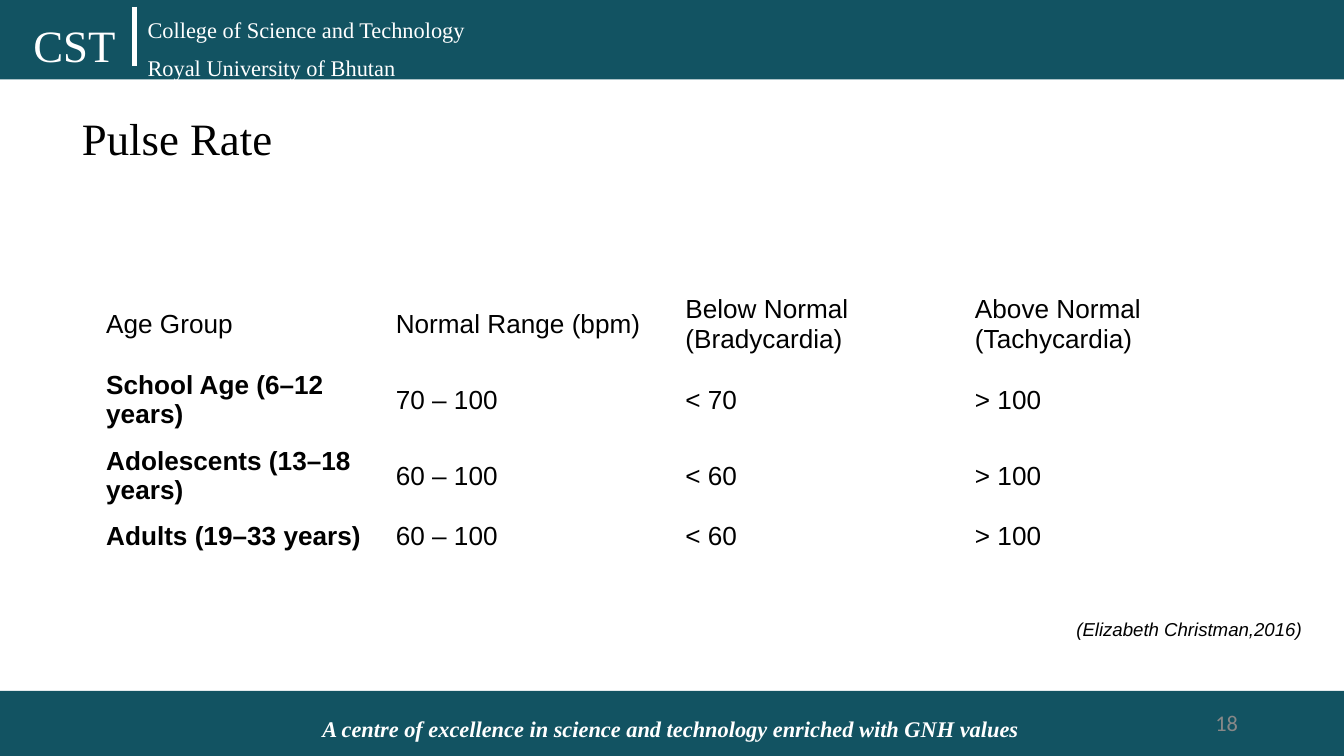
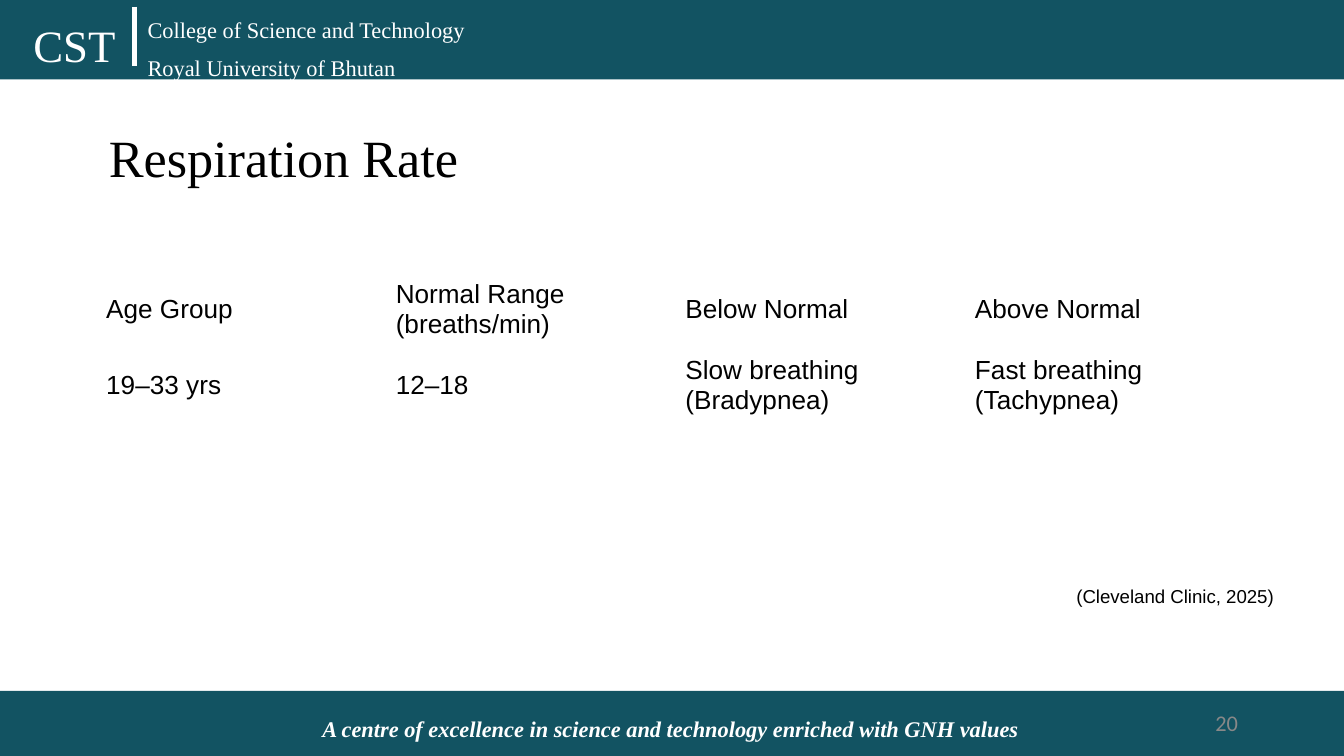
"""Build the pulse rate and respiration rate slides."""
from dataclasses import dataclass, field
from typing import Any

from lxml import etree
from pptx import Presentation
from pptx import util as u
from pptx.dml.color import RGBColor
from pptx.enum import shapes, text
from pptx.oxml.ns import qn

TEAL = RGBColor(0x12, 0x53, 0x62)
WHITE = RGBColor(0xFF, 0xFF, 0xFF)
BLACK = RGBColor(0x00, 0x00, 0x00)
GREY = RGBColor(0x88, 0x88, 0x88)
SERIF, SANS, NUMBER_FONT = "Times New Roman", "Arial", "Calibri"
SLIDE_WIDTH = 10
SLIDE_HEIGHT = SLIDE_WIDTH * 9 / 16
HEADER_HEIGHT, FOOTER_TOP = 0.59, 5.14
TABLE_LEFT, TABLE_WIDTH = 0.69, 8.62
ONE_LINE, TWO_LINES = 0.34, 1.13 / 2

Box = tuple[float, float, float, float]


@dataclass(frozen=True)
class Label:
    """Text with its place and format."""

    lines: tuple[str, ...]
    box: Box
    font: dict[str, Any]
    color: RGBColor = WHITE
    paragraph: dict[str, Any] = field(default_factory=dict)
    anchor: text.MSO_ANCHOR = text.MSO_ANCHOR.TOP
    inset: float = 0.05


@dataclass(frozen=True)
class RateSlide:
    """Content of one vital sign slide."""

    number: int
    title: str
    title_at: tuple[float, float]
    title_size: int
    citation: str
    citation_top: float
    citation_italic: bool
    table_top: float
    row_heights: tuple[float, ...]
    rows: tuple[tuple[str, ...], ...]
    bold_groups: bool


BANDS: tuple[Box, ...] = (
    (0, FOOTER_TOP, SLIDE_WIDTH, SLIDE_HEIGHT - FOOTER_TOP),
    (0, 0, SLIDE_WIDTH, HEADER_HEIGHT),
)

BAND_LABELS = (
    Label(("A centre of excellence in science and technology enriched with GNH values",),
          (2.3, 5.27, 5.45, 0.3),
          {"name": SERIF, "size": u.Pt(12), "bold": True, "italic": True}),
    Label(("CST",), (0.15, 0.08, 0.82, 0.5),
          {"name": SERIF, "size": u.Pt(24)}),
    Label(("College of Science and Technology", "Royal University of Bhutan"),
          (1, 0.07, 2.6, 0.59),
          {"name": SERIF, "size": u.Pt(12)}),
)

RATE_SLIDES = (
    RateSlide(
        18, "Pulse Rate", (0.51, 0.72), 24,
        "(Elizabeth Christman,2016)", 4.5, True,
        2.13, (TWO_LINES, TWO_LINES, TWO_LINES, ONE_LINE),
        (("Age Group", "Normal Range (bpm)",
          "Below Normal (Bradycardia)", "Above Normal (Tachycardia)"),
         ("School Age (6–12 years)", "70 – 100", "< 70", "> 100"),
         ("Adolescents (13–18 years)", "60 – 100", "< 60", "> 100"),
         ("Adults (19–33 years)", "60 – 100", "< 60", "> 100")),
        True,
    ),
    RateSlide(
        20, "Respiration Rate", (0.71, 0.83), 28,
        "(Cleveland Clinic, 2025)", 4.25, False,
        2.02, (TWO_LINES, TWO_LINES),
        (("Age Group", "Normal Range (breaths/min)", "Below Normal", "Above Normal"),
         ("19–33 yrs", "12–18",
          "Slow breathing (Bradypnea)", "Fast breathing (Tachypnea)")),
        False,
    ),
)


def apply(target: Any, values: dict[str, Any]) -> None:
    """Set every attribute named in values."""
    for name, value in values.items():
        setattr(target, name, value)


def inches(box: Box) -> list[u.Length]:
    """Convert a box to lengths."""
    return [u.Inches(value) for value in box]


def write_label(shape: Any, label: Label) -> None:
    """Fill a shape with the label's formatted text."""
    frame = shape.text_frame
    apply(frame, {
        "word_wrap": True,
        "auto_size": text.MSO_AUTO_SIZE.NONE,
        "vertical_anchor": label.anchor,
        "margin_left": u.Inches(0.1),
        "margin_right": u.Inches(0.1),
        "margin_top": u.Inches(label.inset),
        "margin_bottom": u.Inches(label.inset),
    })
    for index, line in enumerate(label.lines):
        paragraph = frame.add_paragraph() if index else frame.paragraphs[0]
        paragraph.text = line
        apply(paragraph, {"alignment": text.PP_ALIGN.LEFT, **label.paragraph})
        if index:
            paragraph.space_before = u.Pt(6)
        apply(paragraph.font, label.font)
        paragraph.font.color.rgb = label.color


def add_label(slide: Any, label: Label) -> None:
    """Add a text box for the label."""
    write_label(slide.shapes.add_textbox(*inches(label.box)), label)


def add_bands(slide: Any, number: int) -> None:
    """Draw the header and footer bands with their text."""
    for box in BANDS:
        band = slide.shapes.add_shape(shapes.MSO_SHAPE.RECTANGLE, *inches(box))
        band.shadow.inherit = False
        band.fill.solid()
        band.fill.fore_color.rgb = TEAL
        band.line.fill.background()
    for label in BAND_LABELS:
        add_label(slide, label)
    divider = slide.shapes.add_connector(
        shapes.MSO_CONNECTOR.STRAIGHT, *inches((1, 0.05, 1, 0.49)))
    divider.line.color.rgb = WHITE
    divider.line.width = u.Pt(3)
    etree.SubElement(divider._element.spPr, qn("a:effectLst"))
    add_label(slide, Label(
        (str(number),), (8.1, 5.23, 1.21, 0.3),
        {"name": NUMBER_FONT, "size": u.Pt(12)}, GREY,
        {"alignment": text.PP_ALIGN.RIGHT}, text.MSO_ANCHOR.MIDDLE))


def add_title(slide: Any, content: RateSlide) -> None:
    """Move and format the title placeholder."""
    title = slide.shapes.title
    box = (*content.title_at, 7.59, 0.56)
    apply(title, dict(zip(("left", "top", "width", "height"), inches(box))))
    write_label(title, Label(
        (content.title,), box,
        {"name": SERIF, "size": u.Pt(content.title_size)}, BLACK, inset=0.1))


def add_rate_table(slide: Any, content: RateSlide) -> None:
    """Add the plain table of rates by age group."""
    columns = len(content.rows[0])
    box = (TABLE_LEFT, content.table_top, TABLE_WIDTH, sum(content.row_heights))
    table = slide.shapes.add_table(len(content.rows), columns, *inches(box)).table
    apply(table, {"first_row": False, "horz_banding": False})
    for column in table.columns:
        column.width = u.Inches(TABLE_WIDTH / columns)
    for row_index, (row, height) in enumerate(zip(content.rows, content.row_heights)):
        table.rows[row_index].height = u.Inches(height)
        for column_index, value in enumerate(row):
            cell = table.cell(row_index, column_index)
            cell.fill.background()
            apply(cell, {"text": value, "vertical_anchor": text.MSO_ANCHOR.MIDDLE})
            font = cell.text_frame.paragraphs[0].font
            is_group = row_index > 0 and column_index == 0
            apply(font, {"name": SANS, "size": u.Pt(14),
                         "bold": content.bold_groups and is_group})
            font.color.rgb = BLACK


def add_rate_slide(presentation: Any, content: RateSlide) -> None:
    """Add one complete vital sign slide."""
    slide = presentation.slides.add_slide(presentation.slide_layouts[5])
    add_bands(slide, content.number)
    add_title(slide, content)
    add_label(slide, Label(
        (content.citation,), (7.91, content.citation_top, 3.62, 0.65),
        {"name": SANS, "size": u.Pt(10), "italic": content.citation_italic},
        BLACK, inset=0.1))
    add_rate_table(slide, content)


def main() -> None:
    """Build and save the presentation."""
    presentation = Presentation()
    apply(presentation, {"slide_width": u.Inches(SLIDE_WIDTH),
                         "slide_height": u.Inches(SLIDE_HEIGHT)})
    for content in RATE_SLIDES:
        add_rate_slide(presentation, content)
    presentation.save("out.pptx")


if __name__ == "__main__":
    main()
